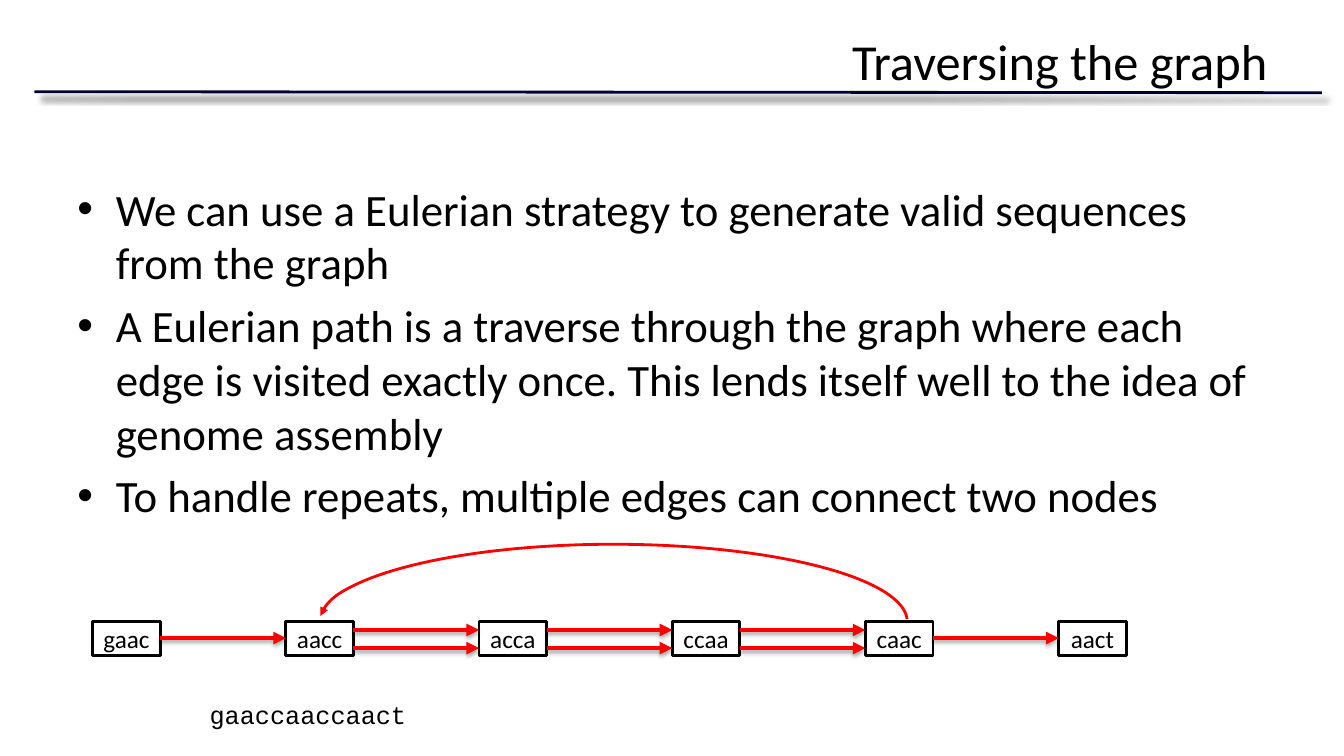
from lxml.etree import SubElement
from pptx import Presentation
from pptx.dml.color import RGBColor
from pptx.enum.shapes import MSO_CONNECTOR, MSO_SHAPE
from pptx.enum.text import MSO_ANCHOR, PP_ALIGN
from pptx.oxml.ns import qn
from pptx.util import Inches, Pt

COLOURS = {"ink": "000000", "rule": "000033", "edge": "FF0000"}


def write(shape, text, size, font="Calibri", align=PP_ALIGN.LEFT,
          anchor=MSO_ANCHOR.TOP, wrap=True, bullet=False):
    frame = shape.text_frame
    frame.word_wrap = wrap
    frame.vertical_anchor = anchor
    for index, line in enumerate(text.split("\n")):
        para = frame.add_paragraph() if index else frame.paragraphs[0]
        para.alignment = align
        span = para.add_run()
        span.text = line
        span.font.size = Pt(size)
        span.font.name = font
        span.font.color.rgb = RGBColor.from_string(COLOURS["ink"])
        if bullet:
            para.space_before = Pt(size * 0.2)
            properties = para._p.get_or_add_pPr()
            properties.set("marL", str(Inches(0.38)))
            properties.set("indent", str(Inches(-0.38)))
            SubElement(properties, qn("a:buFont"), typeface="Arial")
            SubElement(properties, qn("a:buChar"), char="•")


def connect(start, end, colour, width, blur, distance, angle, opacity, arrow=True):
    line = page.shapes.add_connector(
        MSO_CONNECTOR.STRAIGHT, *(Inches(value) for value in start + end))
    line.line.color.rgb = RGBColor.from_string(COLOURS[colour])
    line.line.width = Pt(width)
    if arrow:
        SubElement(line.line._get_or_add_ln(), qn("a:tailEnd"), type="triangle")
    effects = SubElement(line._element.spPr, qn("a:effectLst"))
    shadow = SubElement(effects, qn("a:outerShdw"), blurRad=str(Pt(blur)),
                        dist=str(Pt(distance)), dir=str(angle * 60000),
                        rotWithShape="0")
    tint = SubElement(shadow, qn("a:srgbClr"), val=COLOURS["ink"])
    SubElement(tint, qn("a:alpha"), val=str(opacity * 1000))


deck = Presentation()
deck.slide_width = Inches(13.33)
deck.slide_height = Inches(7.5)
page = deck.slides.add_slide(deck.slide_layouts[6])

connect((0.34, 0.91), (13.11, 0.92), "rule", 2, 4, 6, 45, 50, arrow=False)

body = page.shapes.add_textbox(Inches(0.67), Inches(1.75), Inches(12), Inches(3.58))
write(body, "We can use a Eulerian strategy to generate valid sequences from the graph\n"
      "A Eulerian path is a traverse through the graph where each edge is visited "
      "exactly once. This lends itself well to the idea of genome assembly\n"
      "To handle repeats, multiple edges can connect two nodes", 32, bullet=True)

title = page.shapes.add_textbox(Inches(0.67), Inches(0.25), Inches(12), Inches(1.25))
write(title, "Traversing the graph", 36, align=PP_ALIGN.RIGHT)

NODES = ["gaac", "aacc", "acca", "ccaa", "caac", "aact"]
SINGLE, DOUBLE = [6.33], [6.25, 6.43]
EDGES = [SINGLE, DOUBLE, DOUBLE, DOUBLE, SINGLE]
FIRST_LEFT, NODE_TOP, NODE_WIDTH, NODE_HEIGHT = 0.92, 6.17, 0.67, 0.33
STEP = 1.916

for index, name in enumerate(NODES):
    node = page.shapes.add_shape(
        MSO_SHAPE.RECTANGLE, Inches(FIRST_LEFT + index * STEP), Inches(NODE_TOP),
        Inches(NODE_WIDTH), Inches(NODE_HEIGHT))
    node.shadow.inherit = False
    node.fill.background()
    node.line.color.rgb = RGBColor.from_string(COLOURS["ink"])
    node.line.width = Pt(2)
    write(node, name, 18, align=PP_ALIGN.CENTER, anchor=MSO_ANCHOR.MIDDLE, wrap=False)

for index, heights in enumerate(EDGES):
    left = FIRST_LEFT + index * STEP
    for height in heights:
        connect((left + NODE_WIDTH, height), (left + STEP, height),
                "edge", 3, 3.1, 1.8, 90, 35)

loop = page.shapes.add_shape(
    MSO_SHAPE.ARC, Inches(3.17), Inches(5.4), Inches(5.83), Inches(1.54))
loop.adjustments[0] = 108.694
loop.adjustments[1] = 215.667
loop.shadow.inherit = False
loop.fill.background()
loop.line.color.rgb = RGBColor.from_string(COLOURS["edge"])
loop.line.width = Pt(2)
SubElement(loop.line._get_or_add_ln(), qn("a:headEnd"), type="triangle")

sequence = page.shapes.add_textbox(Inches(1.98), Inches(6.89), Inches(2.16), Inches(0.71))
write(sequence, "gaaccaaccaact", 18, font="Courier New", wrap=False)

deck.save("out.pptx")
